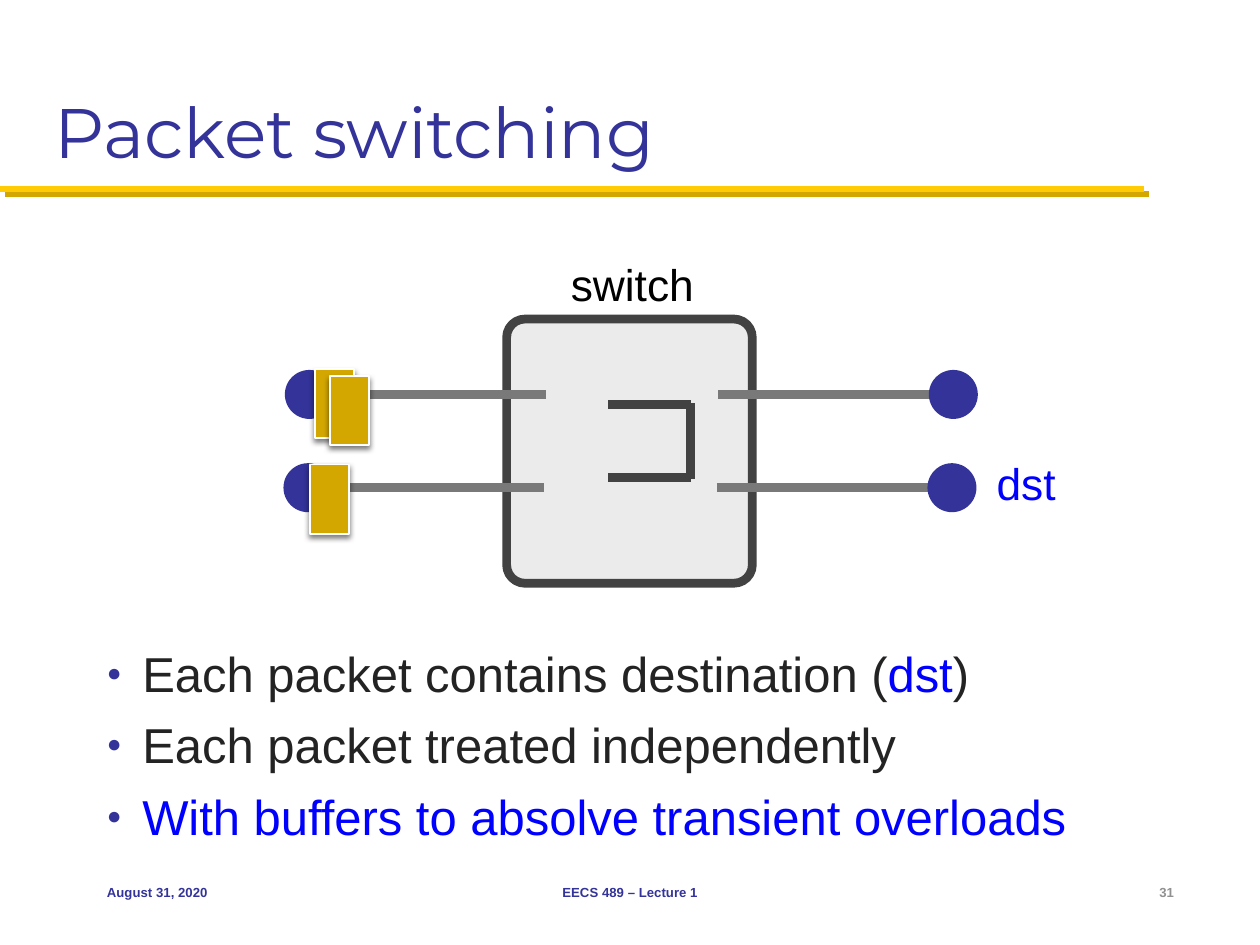
from typing import NamedTuple, Optional

from lxml import etree
from pptx import Presentation
from pptx.dml.color import RGBColor
from pptx.enum.shapes import MSO_CONNECTOR, MSO_SHAPE
from pptx.enum.text import MSO_ANCHOR, PP_ALIGN
from pptx.oxml.ns import qn
from pptx.util import Pt

STRAIGHT = MSO_CONNECTOR.STRAIGHT
OVAL, RECTANGLE, ROUNDED = MSO_SHAPE.OVAL, MSO_SHAPE.RECTANGLE, MSO_SHAPE.ROUNDED_RECTANGLE
LEFT, CENTER, RIGHT = PP_ALIGN.LEFT, PP_ALIGN.CENTER, PP_ALIGN.RIGHT
TOP, MIDDLE, BOTTOM = MSO_ANCHOR.TOP, MSO_ANCHOR.MIDDLE, MSO_ANCHOR.BOTTOM

NAVY, BLUE, BLACK, INK = "333399", "0000FF", "000000", "232323"
GOLD, YELLOW, WHITE = "D3A600", "FFCB05", "FFFFFF"
DARK_GRAY, LINK_GRAY, PALE_GRAY, NUMBER_GRAY = "424242", "797979", "EBEBEB", "919191"
STROKE = 5
NODE_SIZE = 28
PACKET_SIZE = (22.4, 39.6)


class Box(NamedTuple):
    left: float
    top: float
    width: float
    height: float


class Shadow(NamedTuple):
    color: str
    opacity: int
    blur: float
    distance: float
    angle: int


class Label(NamedTuple):
    text: str
    box: Box
    size: float
    color: str
    font: str = "Arial"
    bold: bool = False
    align: PP_ALIGN = LEFT
    anchor: MSO_ANCHOR = MIDDLE
    insets: tuple[float, float] = (7.2, 3.6)
    wrap: bool = True


class Row(NamedTuple):
    shift: float
    y: float


RULE_SHADOW = Shadow(GOLD, 100, 0, 4.2, 45)
PACKET_SHADOW = Shadow(BLACK, 50, 3, 2, 90)
SWITCH = Box(289.5, 182.3, 140.4, 151)
ROWS = [Row(0, 225.4), Row(-0.8, 278.7)]
PACKETS = [(180, 210.8), (188.6, 214.9), (177.1, 265.5)]
BUFFER_EDGES = [
    (394.6, 273.6, 394.6, 230.4),
    (347.6, 231.2, 394.6, 231.2),
    (347.6, 272.9, 394.6, 272.9),
]
LABELS = [
    Label("Packet switching", Box(24, 12, 672, 90), 40, NAVY, "Montserrat", anchor=BOTTOM),
    Label("switch", Box(323.3, 144.3, 76.3, 36), 25.3, BLACK, insets=(2.9, 2.9), wrap=False),
    Label("dst", Box(566.6, 258, 39.6, 36), 25.3, BLUE, insets=(2.9, 2.9), wrap=False),
    Label("August 31, 2020", Box(54, 492, 150, 36), 7.5, NAVY, bold=True),
    Label("EECS 489 – Lecture 1", Box(246, 492, 228, 36), 7.5, NAVY, bold=True, align=CENTER),
    Label("31", Box(630, 492, 48, 36), 7.5, NUMBER_GRAY, bold=True, align=RIGHT),
]
POINTS = [
    [("Each packet contains destination (", INK), ("dst", BLUE), (")", INK)],
    [("Each packet treated independently", INK)],
    [("With buffers to absolve transient overloads", BLUE)],
]


def paint(color_format, color: str) -> None:
    color_format.rgb = RGBColor.from_string(color)


def add_effects(properties, shadow: Optional[Shadow]) -> None:
    effects = etree.SubElement(properties, qn("a:effectLst"))
    if shadow is None:
        return
    outer = etree.SubElement(
        effects, qn("a:outerShdw"), blurRad=str(Pt(shadow.blur)),
        dist=str(Pt(shadow.distance)), dir=str(shadow.angle * 60000),
        algn="ctr", rotWithShape="0")
    color = etree.SubElement(outer, qn("a:srgbClr"), val=shadow.color)
    etree.SubElement(color, qn("a:alpha"), val=str(shadow.opacity * 1000))


def draw_line(slide, x1: float, y1: float, x2: float, y2: float, color: str,
              width: float = STROKE, shadow: Optional[Shadow] = None) -> None:
    line = slide.shapes.add_connector(STRAIGHT, Pt(x1), Pt(y1), Pt(x2), Pt(y2))
    paint(line.line.color, color)
    line.line.width = Pt(width)
    add_effects(line._element.spPr, shadow)


def draw_shape(slide, kind: MSO_SHAPE, box: Box, fill: str, outline: Optional[str] = None,
               width: float = 1, shadow: Optional[Shadow] = None):
    shape = slide.shapes.add_shape(kind, *map(Pt, box))
    shape.fill.solid()
    paint(shape.fill.fore_color, fill)
    if outline:
        paint(shape.line.color, outline)
        shape.line.width = Pt(width)
    else:
        shape.line.fill.background()
    if shadow:
        add_effects(shape._element.spPr, shadow)
    else:
        shape.shadow.inherit = False
    return shape


def add_frame(slide, box: Box, insets: tuple[float, float], anchor: MSO_ANCHOR, wrap: bool):
    frame = slide.shapes.add_textbox(*map(Pt, box)).text_frame
    frame.margin_left = frame.margin_right = Pt(insets[0])
    frame.margin_top = frame.margin_bottom = Pt(insets[1])
    frame.vertical_anchor = anchor
    frame.word_wrap = wrap
    return frame


def draw_label(slide, label: Label) -> None:
    frame = add_frame(slide, label.box, label.insets, label.anchor, label.wrap)
    paragraph = frame.paragraphs[0]
    paragraph.text = label.text
    paragraph.alignment = label.align
    paragraph.font.name = label.font
    paragraph.font.size = Pt(label.size)
    paragraph.font.bold = label.bold
    paint(paragraph.font.color, label.color)


def draw_row(slide, row: Row) -> None:
    for start, end, node in ((180, 311.8, 176.8), (410.4, 541.4, 544.8)):
        draw_line(slide, start + row.shift, row.y, end + row.shift, row.y, LINK_GRAY)
        center = node + row.shift
        draw_shape(slide, OVAL, Box(center - NODE_SIZE / 2, row.y - NODE_SIZE / 2,
                                    NODE_SIZE, NODE_SIZE), NAVY)


def add_bullet(paragraph) -> None:
    properties = paragraph._p.get_or_add_pPr()
    properties.set("marL", str(Pt(20.2)))
    properties.set("indent", str(Pt(-20.2)))
    color = etree.SubElement(properties, qn("a:buClr"))
    etree.SubElement(color, qn("a:srgbClr"), val=NAVY)
    etree.SubElement(properties, qn("a:buSzPct"), val="50000")
    etree.SubElement(properties, qn("a:buFont"), typeface="Arial")
    etree.SubElement(properties, qn("a:buChar"), char="●")


def draw_points(slide) -> None:
    frame = add_frame(slide, Box(54, 364.2, 624, 120), (7.2, 3.6), TOP, True)
    for index, pieces in enumerate(POINTS):
        paragraph = frame.add_paragraph() if index else frame.paragraphs[0]
        add_bullet(paragraph)
        paragraph.space_before = Pt(7.2 if index else 0)
        paragraph.font.name = "Arial"
        paragraph.font.size = Pt(28)
        for text, color in pieces:
            run = paragraph.add_run()
            run.text = text
            paint(run.font.color, color)


def main() -> None:
    deck = Presentation()
    deck.slide_width, deck.slide_height = Pt(720), Pt(540)
    slide = deck.slides.add_slide(deck.slide_layouts[6])
    draw_line(slide, 0, 108, 653.8, 108, YELLOW, 3.5, RULE_SHADOW)
    switch = draw_shape(slide, ROUNDED, SWITCH, PALE_GRAY, DARK_GRAY, STROKE)
    switch.adjustments[0] = 0.075
    for row in ROWS:
        draw_row(slide, row)
    for left, top in PACKETS:
        draw_shape(slide, RECTANGLE, Box(left, top, *PACKET_SIZE), GOLD, WHITE,
                   shadow=PACKET_SHADOW)
    for edge in BUFFER_EDGES:
        draw_line(slide, *edge, DARK_GRAY)
    for label in LABELS:
        draw_label(slide, label)
    draw_points(slide)
    deck.save("out.pptx")


if __name__ == "__main__":
    main()
